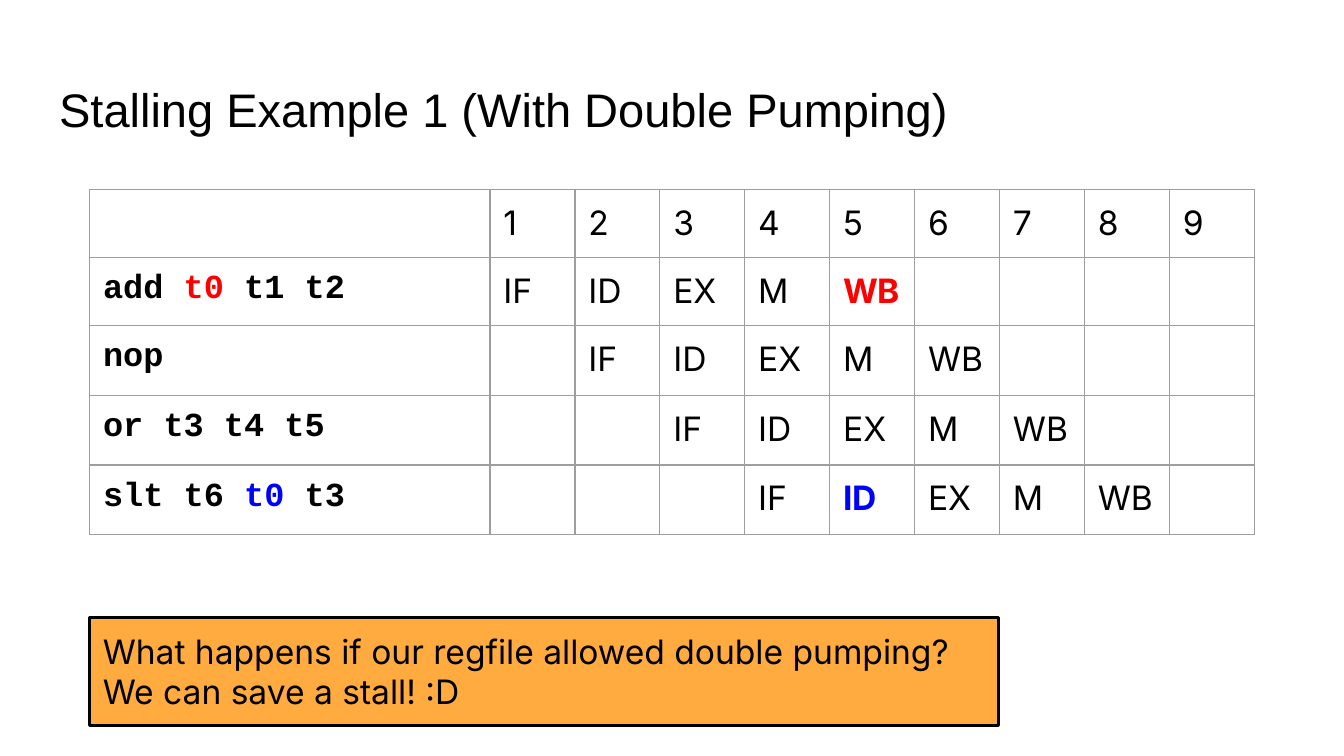
from lxml import etree
from pptx import Presentation
from pptx import util as u
from pptx.dml.color import RGBColor
from pptx.enum import shapes, text
from pptx.oxml.ns import qn

COLOURS = {
    "ink": "000000",
    "write": "FF0000",
    "read": "0000FF",
    "grid": "9E9E9E",
    "note": "FFAB40",
}
SANS, HEADING, CODE = "Inter", "Arial", "Courier New"
STAGES = ["IF", "ID", "EX", "M", "WB"]
CYCLES = 9

# Each instruction is a list of (code, colour); the dict colours single stages
INSTRUCTIONS = [
    ([("add ", "ink"), ("t0", "write"), (" t1 t2", "ink")], {"WB": "write"}),
    ([("nop", "ink")], {}),
    ([("or t3 t4 t5", "ink")], {}),
    ([("slt t6 ", "ink"), ("t0", "read"), (" t3", "ink")], {"ID": "read"}),
]


class SlideBuilder:
    INSET = u.Pt(7.2)
    BODY_SIZE = 18

    def __init__(self, page):
        self.page = page

    def colour(self, name):
        return RGBColor.from_string(COLOURS[name])

    def style(self, span, font=SANS, size=BODY_SIZE, colour="ink", bold=False):
        span.font.name = font
        span.font.size = u.Pt(size)
        span.font.bold = bold
        span.font.color.rgb = self.colour(colour)

    def set_insets(self, holder):
        holder.margin_left = holder.margin_right = self.INSET
        holder.margin_top = holder.margin_bottom = self.INSET

    def title(self, words, left, top, width, height):
        box = self.page.shapes.title
        box.left, box.top = u.Pt(left), u.Pt(top)
        box.width, box.height = u.Pt(width), u.Pt(height)
        frame = box.text_frame
        frame.text = words
        frame.auto_size = text.MSO_AUTO_SIZE.NONE
        frame.vertical_anchor = text.MSO_ANCHOR.MIDDLE
        self.set_insets(frame)
        para = frame.paragraphs[0]
        para.alignment = text.PP_ALIGN.LEFT
        self.style(para.runs[0], HEADING, 25.2)

    def note(self, words, left, top, width, height):
        box = self.page.shapes.add_shape(
            shapes.MSO_SHAPE.RECTANGLE,
            u.Pt(left), u.Pt(top), u.Pt(width), u.Pt(height))
        box.shadow.inherit = False
        box.fill.solid()
        box.fill.fore_color.rgb = self.colour("note")
        box.line.color.rgb = self.colour("ink")
        box.line.width = u.Pt(1.5)
        frame = box.text_frame
        frame.text = words
        frame.word_wrap = True
        frame.vertical_anchor = text.MSO_ANCHOR.MIDDLE
        self.set_insets(frame)
        para = frame.paragraphs[0]
        para.alignment = text.PP_ALIGN.LEFT
        self.style(para.runs[0])

    def table(self, left, top, widths, heights):
        frame = self.page.shapes.add_table(
            len(heights), len(widths), u.Pt(left), u.Pt(top),
            u.Pt(sum(widths)), u.Pt(sum(heights)))
        grid = frame.table
        grid.first_row = grid.horz_banding = False
        for column, width in zip(grid.columns, widths):
            column.width = u.Pt(width)
        for row, height in zip(grid.rows, heights):
            row.height = u.Pt(height)
        for cell in grid.iter_cells():
            self.set_insets(cell)
            self.borders(cell)
            cell.fill.background()
        return grid

    def borders(self, cell):
        properties = cell._tc.get_or_add_tcPr()
        for side in ("a:lnL", "a:lnR", "a:lnT", "a:lnB"):
            line = etree.SubElement(properties, qn(side), w=str(u.Pt(0.75)))
            fill = etree.SubElement(line, qn("a:solidFill"))
            etree.SubElement(fill, qn("a:srgbClr"), val=COLOURS["grid"])

    def cell_text(self, cell, parts, font=SANS, bold=False):
        para = cell.text_frame.paragraphs[0]
        for words, colour in parts:
            span = para.add_run()
            span.text = words
            self.style(span, font, colour=colour, bold=bold)


def main():
    deck = Presentation()
    deck.slide_width, deck.slide_height = u.Pt(720), u.Pt(405)
    builder = SlideBuilder(deck.slides.add_slide(deck.slide_layouts[5]))

    # Title
    builder.title("Stalling Example 1 (With Double Pumping)", 24.5, 35.3, 671, 45.4)

    # Pipeline table: cycle numbers, then one instruction per row
    pipeline = builder.table(
        48, 101.5, [214.5] + [45.5] * CYCLES, [36.2] * 2 + [37.4] * 3)
    for cycle in range(1, CYCLES + 1):
        builder.cell_text(pipeline.cell(0, cycle), [(str(cycle), "ink")])

    # Every instruction starts one cycle after the one above it
    for row, (code, marked) in enumerate(INSTRUCTIONS, start=1):
        builder.cell_text(pipeline.cell(row, 0), code, CODE, bold=True)
        for cycle, stage in enumerate(STAGES, start=row):
            builder.cell_text(
                pipeline.cell(row, cycle), [(stage, marked.get(stage, "ink"))],
                bold=stage in marked)

    # Closing note
    builder.note(
        "What happens if our regfile allowed double pumping? We can save a stall! :D",
        48, 330.7, 487, 58)

    deck.save("out.pptx")


if __name__ == "__main__":
    main()
